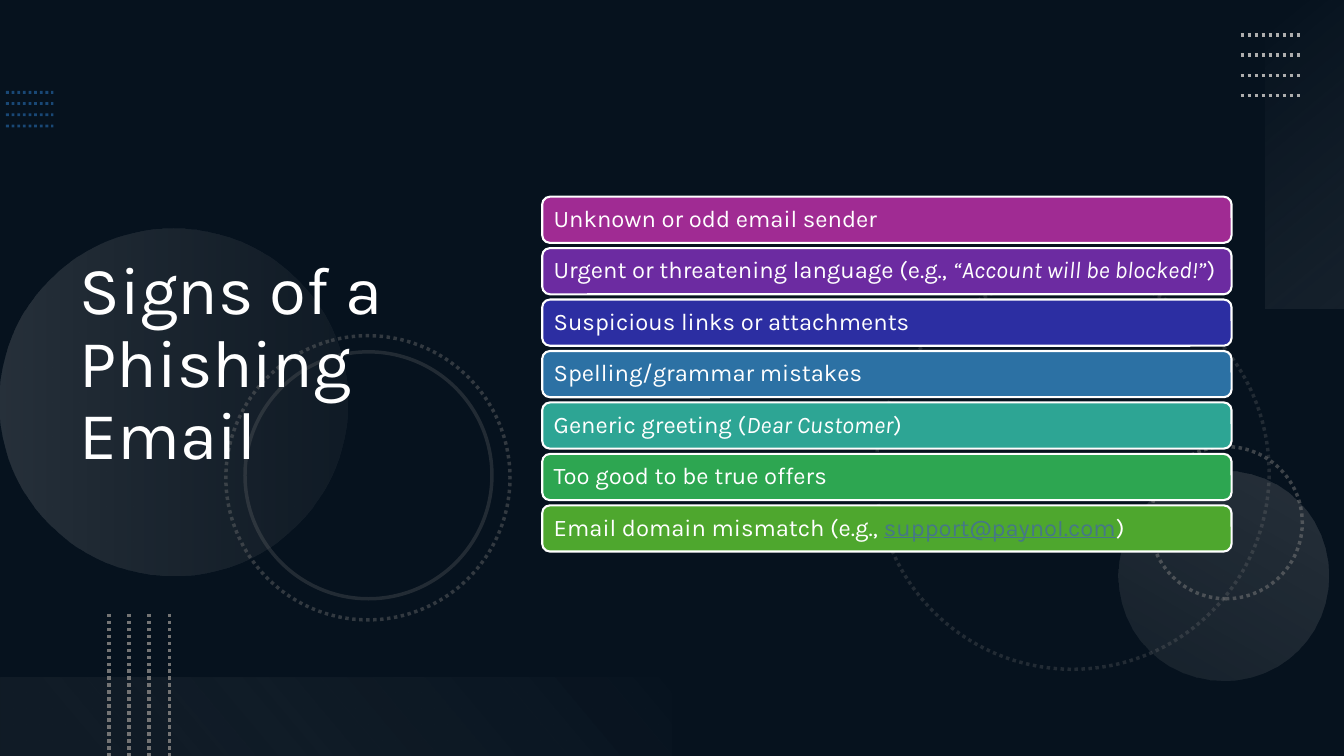
"""Build the slide that lists the signs of a phishing email."""
from lxml import etree
from pptx import Presentation
from pptx.dml.color import RGBColor
from pptx.enum.dml import MSO_LINE
from pptx.enum.shapes import MSO_CONNECTOR, MSO_SHAPE
from pptx.enum.text import MSO_ANCHOR, PP_ALIGN
from pptx.oxml.ns import qn
from pptx.util import Pt

RECT = MSO_SHAPE.RECTANGLE
ROUNDED = MSO_SHAPE.ROUNDED_RECTANGLE
OVAL = MSO_SHAPE.OVAL
STRAIGHT = MSO_CONNECTOR.STRAIGHT
DOTTED = MSO_LINE.ROUND_DOT
MIDDLE = MSO_ANCHOR.MIDDLE
LEFT = PP_ALIGN.LEFT

COLORS = {
    "navy": "0E2841", "black": "000000", "white": "FFFFFF", "blue": "2D7FCF",
    "gray": "747474", "silver": "AEAEAE", "pale": "F6F6F6", "mist": "F1F1F1",
    "link": "467886", "magenta": "A02B93", "purple": "6C2BA1", "indigo": "2C2EA2",
    "steel": "2C71A4", "teal": "2DA594", "green": "2DA651", "grass": "4EA72E",
}

SIGNS = [
    ("magenta", [("Unknown or odd email sender", {})]),
    ("purple", [("Urgent or threatening language (e.g., ", {}),
                ("“Account will be blocked!”", {"italic": True}), (")", {})]),
    ("indigo", [("Suspicious links or attachments", {})]),
    ("steel", [("Spelling/grammar mistakes", {})]),
    ("teal", [("Generic greeting (", {}), ("Dear Customer", {"italic": True}), (")", {})]),
    ("green", [("Too good to be true offers", {})]),
    ("grass", [("Email domain mismatch (e.g., ", {}),
               ("support@paynoI.com", {"underline": True, "color": "link"}), (")", {})]),
]


class SlideBuilder:
    """Hold the style and the current slide."""

    font = {"name": "Karla", "italic": False, "underline": False, "color": "white"}
    paragraph = {"alignment": LEFT, "line_spacing": 0.9}
    frame = {"word_wrap": True, "vertical_anchor": MIDDLE}

    def __init__(self, slide):
        """Keep the slide and paint its background."""
        self.slide = slide
        self.paint(slide.background.fill, "navy")

    def paint(self, fill, color, opacity=100):
        """Give a fill one colour and an opacity in percent."""
        fill.solid()
        fill.fore_color.rgb = RGBColor.from_string(COLORS[color])
        if opacity < 100:
            tint = fill._xPr.find(qn("a:solidFill"))[0]
            etree.SubElement(tint, qn("a:alpha"), val=str(opacity * 1000))

    def stroke(self, line, color, width, dotted=True, opacity=100):
        """Style an outline or a connector."""
        line.width = Pt(width)
        self.paint(line.fill, color, opacity)
        if dotted:
            line.dash_style = DOTTED

    def shape(self, kind, box, rotation=0):
        """Add a bare preset shape."""
        shape = self.slide.shapes.add_shape(kind, *map(Pt, box))
        shape.shadow.inherit = False
        shape.rotation = rotation
        shape.fill.background()
        shape.line.fill.background()
        return shape

    def gradient(self, kind, box, rotation, angle, stops):
        """Add a shape with a translucent gradient."""
        shape = self.shape(kind, box, rotation)
        properties = shape._element.spPr
        gradient = etree.Element(qn("a:gradFill"), rotWithShape="1")
        stop_list = etree.SubElement(gradient, qn("a:gsLst"))
        for position, color, opacity in stops:
            stop = etree.SubElement(stop_list, qn("a:gs"), pos=str(position * 1000))
            tint = etree.SubElement(stop, qn("a:srgbClr"), val=COLORS[color])
            etree.SubElement(tint, qn("a:alpha"), val=str(opacity * 1000))
        etree.SubElement(gradient, qn("a:lin"), ang=str(angle * 60000), scaled="0")
        properties.replace(properties.find(qn("a:noFill")), gradient)

    def ring(self, left, top, size, rotation, opacity, dotted=True):
        """Add an unfilled circle."""
        circle = self.shape(OVAL, (left, top, size, size), rotation)
        self.stroke(circle.line, "gray", 2.5, dotted, opacity)

    def dotted_lines(self, start, end, step, color, width, opacity=100):
        """Add four parallel dotted lines, each moved by step."""
        for index in range(4):
            shift_x, shift_y = index * step[0], index * step[1]
            line = self.slide.shapes.add_connector(
                STRAIGHT, Pt(start[0] + shift_x), Pt(start[1] + shift_y),
                Pt(end[0] + shift_x), Pt(end[1] + shift_y))
            self.stroke(line.line, color, width, opacity=opacity)
            etree.SubElement(line._element.spPr, qn("a:effectLst"))

    def label(self, shape, runs, size, inset_x, inset_y):
        """Put one paragraph of styled runs into a shape."""
        frame = shape.text_frame
        margins = {"margin_left": Pt(inset_x), "margin_right": Pt(inset_x),
                   "margin_top": Pt(inset_y), "margin_bottom": Pt(inset_y)}
        for key, value in {**self.frame, **margins}.items():
            setattr(frame, key, value)
        paragraph = frame.paragraphs[0]
        for key, value in self.paragraph.items():
            setattr(paragraph, key, value)
        for text, changes in runs:
            run = paragraph.add_run()
            run.text = text
            look = {**self.font, "size": Pt(size), **changes}
            run.font.color.rgb = RGBColor.from_string(COLORS[look.pop("color")])
            for key, value in look.items():
                setattr(run.font, key, value)

    def title(self, text, box):
        """Add the slide title."""
        title = self.slide.shapes.add_textbox(*map(Pt, box))
        self.label(title, [(text, {})], 48, 7.2, 3.6)

    def bar(self, box, color, runs):
        """Add one labelled bar of the list."""
        bar = self.shape(ROUNDED, box)
        self.paint(bar.fill, color)
        self.stroke(bar.line, "white", 1.5, dotted=False)
        self.label(bar, runs, 17, 6.6, 5)


def main():
    """Build and save the slide."""
    deck = Presentation()
    deck.slide_width, deck.slide_height = Pt(960), Pt(540)
    page = SlideBuilder(deck.slides.add_slide(deck.slide_layouts[6]))

    shade = page.shape(RECT, (0, 0, 960, 540))
    page.paint(shade.fill, "black", 53)
    page.dotted_lines((4.3, 66), (38.2, 66), (0, 8), "blue", 2, 50)

    page.ring(625.7, 197.3, 280.8, 75, 25)
    page.ring(821.5, 319, 108.7, 270, 50)
    page.gradient(OVAL, (0, 163.2, 248, 248), 270, 90,
                  [(0, "silver", 20), (100, "gray", 10)])
    page.gradient(OVAL, (799, 336.2, 150, 150), 210, 90,
                  [(0, "silver", 10), (100, "silver", 20)])
    page.ring(161.3, 239.8, 203, 75, 40)
    page.ring(175, 251.3, 176.4, 75, 25, dotted=False)

    page.gradient(RECT, (822.1, 82.1, 220.3, 56.2), 270, 140,
                  [(0, "pale", 0), (100, "silver", 10)])
    page.dotted_lines((886.2, 25), (929.2, 25), (0, 14.4), "silver", 2.5)
    page.gradient(RECT, (0, 483.8, 480, 56.2), 180, 140,
                  [(10, "gray", 10), (100, "mist", 0)])
    page.dotted_lines((77.7, 438.3), (77.7, 540), (14.4, 0), "gray", 2.5)

    page.title("Signs of a Phishing Email", (49.7, 38.9, 330.5, 444.2))
    for row, (color, runs) in enumerate(SIGNS):
        page.bar((387.3, 140.5 + row * 36.75, 492.4, 33), color, runs)

    deck.save("out.pptx")


if __name__ == "__main__":
    main()
